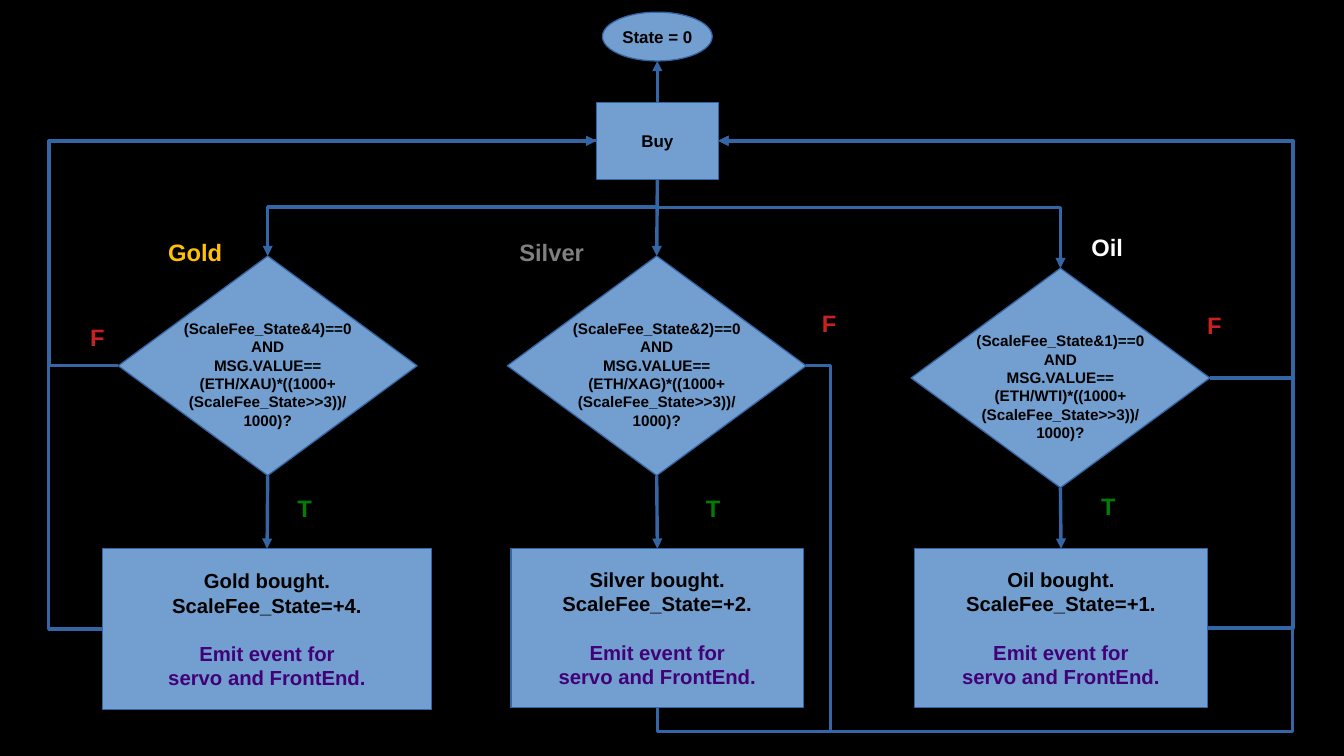
from dataclasses import dataclass

from lxml import etree
from pptx import Presentation
from pptx import util as u
from pptx.dml.color import RGBColor
from pptx.enum import shapes, text
from pptx.oxml.ns import qn

COLORS = {
    "background": "000000", "fill": "729FCF", "line": "3465A4",
    "ink": "000000", "event": "410278", "true": "007E02", "false": "C9211E",
    "gold": "FFC107", "silver": "808080", "oil": "FFFFFF",
}
TOP, LEFT, BOTTOM, RIGHT = range(4)
FLOW_Y, LEFT_RAIL, RIGHT_RAIL, BOTTOM_RAIL = 1.7, 0.4, 10.6, 6.0


@dataclass
class Label:
    words: str
    color: str
    left: float
    top: float
    width: float = 0.46


@dataclass
class Branch:
    name: str
    bit: int
    pair: str
    diamond: tuple[float, float]
    box: tuple[float, float, float, float]


@dataclass
class Link:
    start: object
    start_side: int
    end: object
    end_side: int
    turns: tuple[float, ...] = ()
    arrow: bool = True


def rgb(name: str) -> RGBColor:
    return RGBColor.from_string(COLORS[name])


def add_run(paragraph, words: str, size: float, color: str) -> None:
    run = paragraph.add_run()
    run.text = words
    run.font.name, run.font.size, run.font.bold = "Arial", u.Pt(size), True
    run.font.color.rgb = rgb(color)


def add_node(slide, kind, box: tuple, lines: list[str], size: float):
    shape = slide.shapes.add_shape(kind, *map(u.Inches, box))
    shape.shadow.inherit = False
    shape.fill.solid()
    shape.fill.fore_color.rgb = rgb("fill")
    shape.line.color.rgb = rgb("line")
    shape.line.width = u.Pt(0)
    frame = shape.text_frame
    frame.word_wrap = False
    frame.vertical_anchor = text.MSO_ANCHOR.MIDDLE
    for index, words in enumerate(lines):
        paragraph = frame.add_paragraph() if index else frame.paragraphs[0]
        paragraph.alignment = text.PP_ALIGN.CENTER
        # The event part of a result box starts at its third line
        in_event = len(lines) == 4 and index >= 2
        if in_event and index == 2:
            paragraph.space_before = u.Pt(14)
        add_run(paragraph, words, size, "event" if in_event else "ink")
    return shape


def add_label(slide, label: Label) -> None:
    box = slide.shapes.add_textbox(*map(u.Inches, (label.left, label.top, label.width, 0.32)))
    box.text_frame.word_wrap = True
    box.text_frame.auto_size = text.MSO_AUTO_SIZE.SHAPE_TO_FIT_TEXT
    add_run(box.text_frame.paragraphs[0], label.words, 14, label.color)


def style_line(connector, arrow: bool) -> None:
    connector.line.color.rgb = rgb("line")
    connector.line.width = u.Pt(0)
    if arrow:
        etree.SubElement(connector.line._get_or_add_ln(), qn("a:tailEnd"), type="triangle")
    etree.SubElement(connector._element.spPr, qn("a:effectLst"))


def bend(connector, turns: tuple[float, ...], vertical: bool) -> None:
    """Lead the connector through its turns; a vertical start is a quarter turn."""
    x, y = connector.begin_x, connector.begin_y
    dx, dy = connector.end_x - x, connector.end_y - y
    along, across = (dy, -dx) if vertical else (dx, dy)
    connector.left = int(x + (dx - abs(along)) / 2)
    connector.top = int(y + (dy - abs(across)) / 2)
    connector.width, connector.height = abs(along), abs(across)
    properties = connector._element.spPr
    frame = properties.find(qn("a:xfrm"))
    frame.set("flipH", str(int(along < 0)))
    frame.set("flipV", str(int(across < 0)))
    frame.set("rot", "5400000" if vertical else "0")

    geometry = properties.find(qn("a:prstGeom"))
    geometry.set("prst", f"bentConnector{len(turns) + 2}")
    guides = geometry.find(qn("a:avLst"))
    steps = [(y, dy), (x, dx)] if vertical else [(x, dx), (y, dy)]
    for number, (turn, (origin, span)) in enumerate(zip(turns, steps), 1):
        share = round((u.Inches(turn) - origin) / span * 100000)
        etree.SubElement(guides, qn("a:gd"), name=f"adj{number}", fmla=f"val {share}")


def add_link(slide, link: Link) -> None:
    kind = shapes.MSO_CONNECTOR.ELBOW if link.turns else shapes.MSO_CONNECTOR.STRAIGHT
    connector = slide.shapes.add_connector(kind, 0, 0, 0, 0)
    connector.begin_connect(link.start, link.start_side)
    connector.end_connect(link.end, link.end_side)
    if link.turns:
        bend(connector, link.turns, link.start_side in (TOP, BOTTOM))
    style_line(connector, link.arrow)


BRANCHES = [
    Branch("Gold", 4, "XAU", (0.97, 2.1), (0.84, 4.5, 2.7, 1.32)),
    Branch("Silver", 2, "XAG", (4.16, 2.1), (4.19, 4.5, 2.4, 1.3)),
    Branch("Oil", 1, "WTI", (7.47, 2.2), (7.5, 4.5, 2.4, 1.3)),
]
LABELS = [
    Label("Gold", "gold", 1.28, 1.9, 1.06),
    Label("Silver", "silver", 4.16, 1.9, 0.8),
    Label("Oil", "oil", 8.85, 1.86, 0.7),
    Label("F", "false", 0.64, 2.6),
    Label("F", "false", 6.64, 2.48),
    Label("F", "false", 9.8, 2.5),
    Label("T", "true", 2.34, 4),
    Label("T", "true", 5.69, 4),
    Label("T", "true", 8.93, 3.98),
]


def main() -> None:
    presentation = Presentation()
    presentation.slide_width, presentation.slide_height = u.Inches(11.02), u.Inches(6.2)
    slide = presentation.slides.add_slide(presentation.slide_layouts[6])
    slide.background.fill.solid()
    slide.background.fill.fore_color.rgb = rgb("background")
    kinds = shapes.MSO_SHAPE

    # Start state and purchase
    add_node(slide, kinds.OVAL, (4.94, 0.1, 0.9, 0.4), ["State = 0"], 10)
    buy = add_node(slide, kinds.RECTANGLE, (4.89, 0.84, 1, 0.63), ["Buy"], 10)
    to_state = slide.shapes.add_connector(
        shapes.MSO_CONNECTOR.STRAIGHT, *map(u.Inches, (5.39, 0.84, 5.39, 0.5)))
    to_state.begin_connect(buy, TOP)
    style_line(to_state, True)

    # One test and one result per commodity
    tests, results = [], []
    for branch in BRANCHES:
        condition = [f"(ScaleFee_State&{branch.bit})==0", "AND", "MSG.VALUE==",
                     f"(ETH/{branch.pair})*((1000+", "(ScaleFee_State>>3))/", "1000)?"]
        test = add_node(slide, kinds.DIAMOND, (*branch.diamond, 2.45, 1.8), condition, 9)
        test.text_frame.margin_top = u.Inches(0.19)
        tests.append(test)
        outcome = [f"{branch.name} bought.", f"ScaleFee_State=+{branch.bit}.",
                   "Emit event for", "servo and FrontEnd."]
        results.append(add_node(slide, kinds.RECTANGLE, branch.box, outcome, 12))

    # Flow down to the tests and results, then back to the purchase
    gold, silver, oil = tests
    gold_bought, silver_bought, oil_bought = results
    links = [Link(test, BOTTOM, result, TOP) for test, result in zip(tests, results)]
    links += [
        Link(buy, BOTTOM, gold, TOP, (FLOW_Y,)),
        Link(buy, BOTTOM, silver, TOP),
        Link(buy, BOTTOM, oil, TOP, (FLOW_Y,)),
        Link(gold, LEFT, buy, LEFT, (LEFT_RAIL,), arrow=False),
        Link(gold_bought, LEFT, buy, LEFT, (LEFT_RAIL,)),
        Link(silver, RIGHT, silver_bought, BOTTOM, (6.81, BOTTOM_RAIL), arrow=False),
        Link(silver_bought, BOTTOM, buy, RIGHT, (BOTTOM_RAIL, RIGHT_RAIL)),
        Link(oil, RIGHT, buy, RIGHT, (RIGHT_RAIL,)),
        Link(oil_bought, RIGHT, buy, RIGHT, (RIGHT_RAIL,)),
    ]
    for link in links:
        add_link(slide, link)

    for label in LABELS:
        add_label(slide, label)
    presentation.save("out.pptx")


if __name__ == "__main__":
    main()
